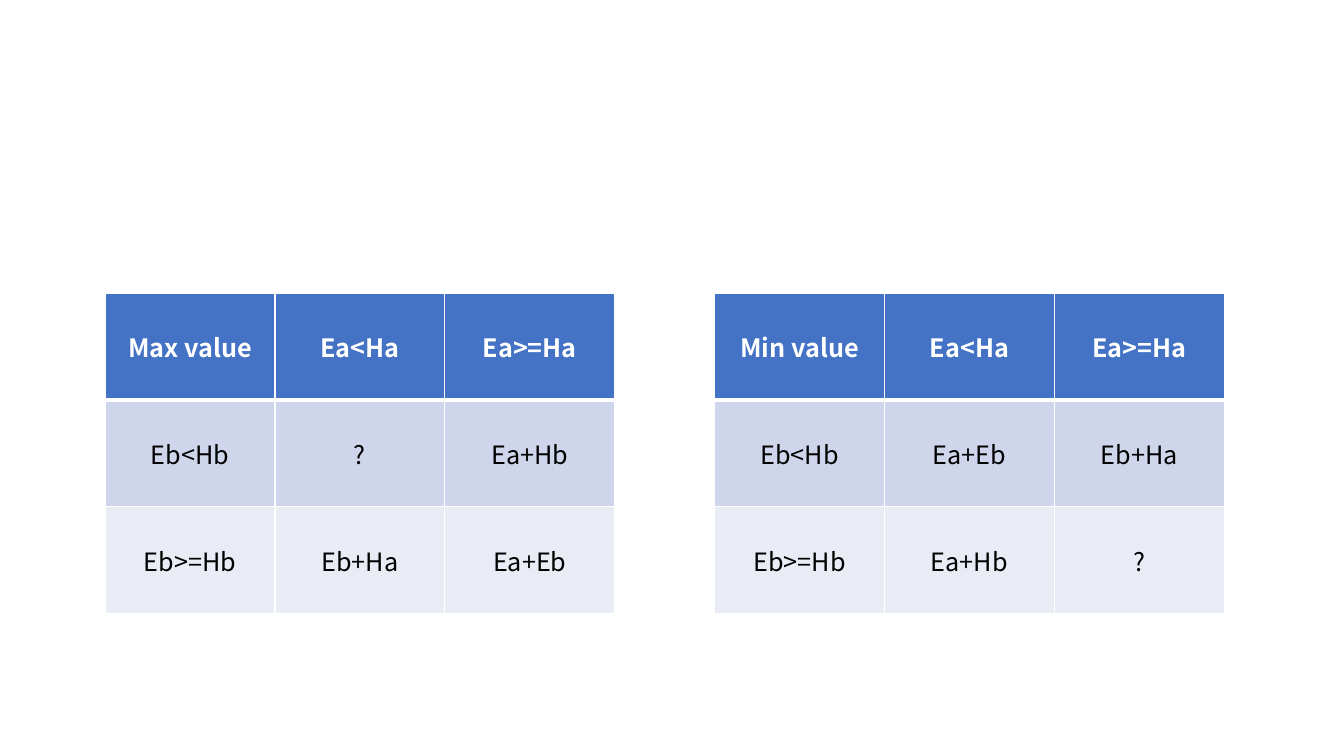
import pptx
import pptx.dml.color
import pptx.enum.text
import pptx.oxml
import pptx.oxml.ns
import pptx.util
from pptx.util import Cm


def colour(value):
    """Turn a hex string into a colour."""
    return pptx.dml.color.RGBColor.from_string(value)


class TablePage:
    """Hold the table style and the current slide."""

    font = "Noto Sans CJK KR"
    size = 18
    line = "FFFFFF"
    row_styles = [("4472C4", "FFFFFF"), ("CFD5EA", "000000"), ("E9EBF5", "000000")]

    def __init__(self, deck):
        """Add a blank slide to the deck."""
        self.page = deck.slides.add_slide(deck.slide_layouts[6])

    def border(self, cell, side, width):
        """Draw one side of a cell."""
        cell._tc.get_or_add_tcPr().append(pptx.oxml.parse_xml(
            f'<a:ln{side} {pptx.oxml.ns.nsdecls("a")} w="{pptx.util.Pt(width)}">'
            f'<a:solidFill><a:srgbClr val="{self.line}"/></a:solidFill></a:ln{side}>'))

    def cell(self, cell, text, row):
        """Fill one cell with text in the style of its row."""
        fill, ink = self.row_styles[row]
        for side in "LRTB":
            heavy = (row, side) in [(0, "B"), (1, "T")]
            self.border(cell, side, 3 if heavy else 1)
        cell.fill.solid()
        cell.fill.fore_color.rgb = colour(fill)
        cell.vertical_anchor = pptx.enum.text.MSO_ANCHOR.MIDDLE
        cell.text_frame.text = text
        para = cell.text_frame.paragraphs[0]
        para.alignment = pptx.enum.text.PP_ALIGN.CENTER
        for span in para.runs:
            span.font.name = self.font
            span.font.size = pptx.util.Pt(self.size)
            span.font.bold = row == 0
            span.font.color.rgb = colour(ink)

    def table(self, left, top, column_width, row_height, rows):
        """Add a table with equal columns and rows."""
        count = len(rows[0])
        table = self.page.shapes.add_table(
            len(rows), count, left, top,
            column_width * count, row_height * len(rows)).table
        for column in table.columns:
            column.width = column_width
        for index, texts in enumerate(rows):
            table.rows[index].height = row_height
            for place, text in enumerate(texts):
                self.cell(table.cell(index, place), text, index)


def main():
    """Build the deck with the two value tables."""
    deck = pptx.Presentation()
    deck.slide_width, deck.slide_height = Cm(33.87), Cm(19.05)
    page = TablePage(deck)
    value_tables = [
        (2.65, "Max value", ["?", "Ea+Hb"], ["Eb+Ha", "Ea+Eb"]),
        (18.01, "Min value", ["Ea+Eb", "Eb+Ha"], ["Ea+Hb", "?"]),
    ]
    for left, name, below, above in value_tables:
        page.table(Cm(left), Cm(7.39), Cm(4.28), Cm(2.69), [
            [name, "Ea<Ha", "Ea>=Ha"],
            ["Eb<Hb", *below],
            ["Eb>=Hb", *above],
        ])
    deck.save("out.pptx")


if __name__ == "__main__":
    main()
